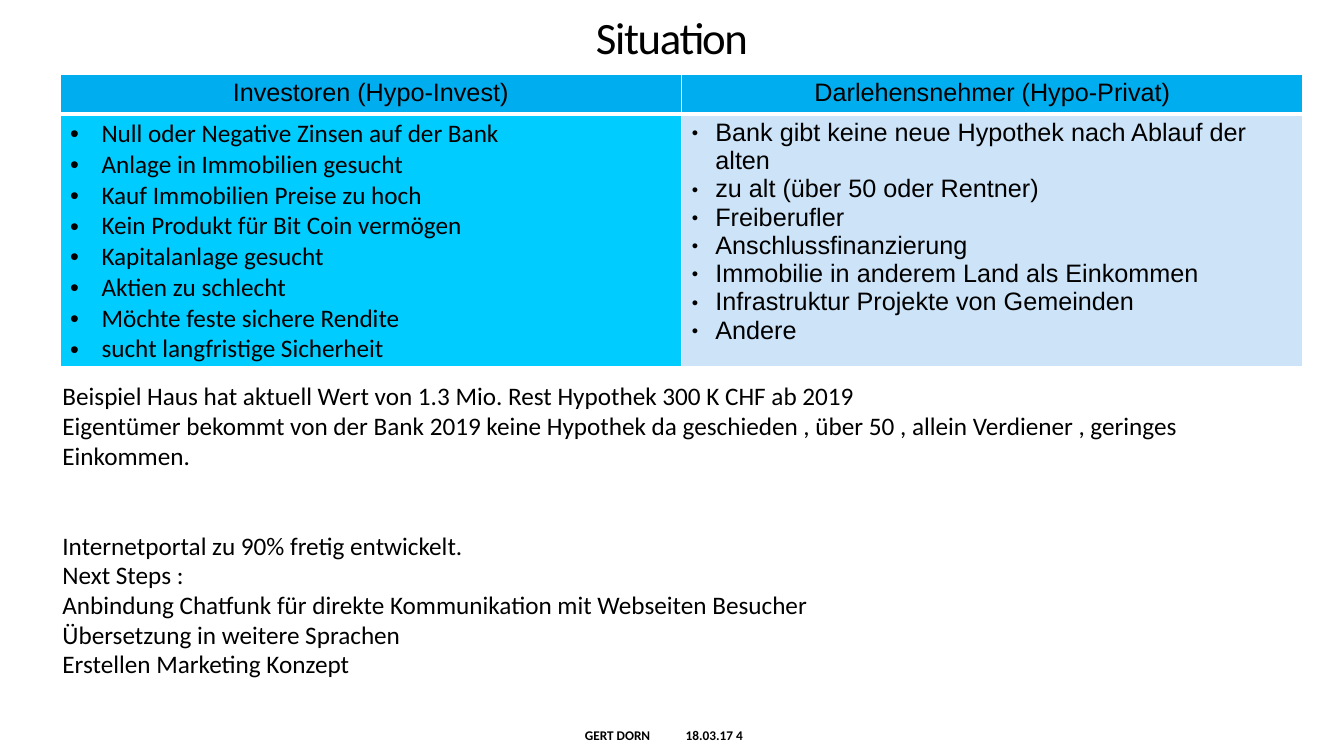
from lxml import etree
from pptx import Presentation
from pptx import util as u
from pptx.dml.color import RGBColor
from pptx.enum import text
from pptx.oxml.ns import qn

Pt = u.Pt
THEME = {
    "ink": "000000", "line": "FFFFFF", "header": "00AEEF",
    "investors": "00CCFF", "borrowers": "CCE3F8",
    "heading": "Calibri", "plain": "Arial",
    "title_size": 32, "text_size": 18, "footer_size": 9.5,
}


def add_run(paragraph, words, font, size, bold=False):
    run = paragraph.add_run()
    run.text = words
    run.font.name, run.font.size, run.font.bold = font, Pt(size), bold
    run.font.color.rgb = RGBColor.from_string(THEME["ink"])
    return run


def add_element(parent, tag, **attributes):
    element = etree.SubElement(parent, qn(tag))
    for key, value in attributes.items():
        element.set(key, str(value))
    return element


deck = Presentation()
deck.slide_width, deck.slide_height = Pt(960), Pt(540)
slide = deck.slides.add_slide(deck.slide_layouts[1])

# Title
title = slide.shapes.title
title.left, title.top, title.width, title.height = Pt(0), Pt(0.7), Pt(960), Pt(48)
title.text_frame.auto_size = text.MSO_AUTO_SIZE.NONE
title.text_frame.vertical_anchor = text.MSO_ANCHOR.BOTTOM
heading = title.text_frame.paragraphs[0]
heading.alignment = text.PP_ALIGN.CENTER
heading_run = add_run(heading, "Situation", THEME["heading"], THEME["title_size"])
heading_run.font._element.set("spc", "-100")

# Comparison table: investors and borrowers
groups = [
    dict(head="Investoren (Hypo-Invest)", fill="investors", font="heading",
         bullet="•", bullet_size=100, indent=22.5,
         points=["Null oder Negative Zinsen auf der Bank",
                 "Anlage in Immobilien gesucht",
                 "Kauf Immobilien Preise zu hoch",
                 "Kein Produkt für Bit Coin vermögen",
                 "Kapitalanlage gesucht",
                 "Aktien zu schlecht",
                 "Möchte feste sichere Rendite",
                 "sucht langfristige Sicherheit"]),
    dict(head="Darlehensnehmer (Hypo-Privat)", fill="borrowers", font="plain",
         bullet="●", bullet_size=45, indent=17,
         points=["Bank gibt keine neue Hypothek nach Ablauf der alten",
                 "zu alt (über 50 oder Rentner)",
                 "Freiberufler",
                 "Anschlussfinanzierung",
                 "Immobilie in anderem Land als Einkommen",
                 "Infrastruktur Projekte von Gemeinden",
                 "Andere"]),
]
comparison = slide.shapes.add_table(2, 2, Pt(42.8), Pt(52.9), Pt(888), Pt(209)).table
comparison.rows[0].height, comparison.rows[1].height = Pt(28.3), Pt(180.7)

for column, group in enumerate(groups):
    comparison.columns[column].width = Pt(444)
    head, details = comparison.cell(0, column), comparison.cell(1, column)
    head_line = head.text_frame.paragraphs[0]
    head_line.alignment = text.PP_ALIGN.CENTER
    add_run(head_line, group["head"], THEME["plain"], THEME["text_size"])

    details.margin_bottom = Pt(1.5)
    for number, point in enumerate(group["points"]):
        frame = details.text_frame
        item = frame.add_paragraph() if number else frame.paragraphs[0]
        add_run(item, point, THEME[group["font"]], THEME["text_size"])
        props = item._p.get_or_add_pPr()
        props.set("marL", str(Pt(group["indent"])))
        props.set("indent", str(-Pt(group["indent"])))
        add_element(add_element(props, "a:buClr"), "a:srgbClr", val=THEME["ink"])
        add_element(props, "a:buSzPct", val=group["bullet_size"] * 1000)
        add_element(props, "a:buFont", typeface=THEME["plain"])
        add_element(props, "a:buChar", char=group["bullet"])

    # White borders, heavy between the two rows; the fill follows them
    for cell, fill, heavy in ((head, "header", "B"), (details, group["fill"], "T")):
        cell_props = cell._tc.get_or_add_tcPr()
        for side in "LRTB":
            width = Pt(3 if side == heavy else 0.96)
            border = add_element(cell_props, f"a:ln{side}", w=width)
            add_element(add_element(border, "a:solidFill"), "a:srgbClr", val=THEME["line"])
        cell.fill.solid()
        cell.fill.fore_color.rgb = RGBColor.from_string(THEME[fill])

# Example and next steps
notes = [
    "Beispiel Haus hat aktuell Wert von 1.3 Mio. Rest Hypothek 300 K CHF ab 2019",
    "Eigentümer bekommt von der Bank 2019 keine Hypothek da geschieden , über 50 , "
    "allein Verdiener , geringes Einkommen.",
    "Internetportal zu 90% fretig entwickelt.",
    "Next Steps :",
    "Anbindung Chatfunk für direkte Kommunikation mit Webseiten Besucher",
    "Übersetzung in weitere Sprachen",
    "Erstellen Marketing Konzept",
]
PORTAL = 2
body = slide.placeholders[1]
body.left, body.top, body.width, body.height = Pt(37.4), Pt(269.3), Pt(888), Pt(229.7)
body.text_frame.auto_size = text.MSO_AUTO_SIZE.NONE
for number, note in enumerate(notes):
    frame = body.text_frame
    line = frame.add_paragraph() if number else frame.paragraphs[0]
    line.line_spacing = 0.98
    line.space_before = Pt(43.2 if number == PORTAL else 0)
    add_run(line, note, THEME["heading"], THEME["text_size"])
    props = line._p.get_or_add_pPr()
    props.set("marL", "0")
    props.set("indent", "0")
    add_element(props, "a:buNone")

# Footer: author, date, page
footer = slide.shapes.add_textbox(Pt(23.8), Pt(516.2), Pt(900.7), Pt(17.3)).text_frame
footer.word_wrap = True
footer.vertical_anchor = text.MSO_ANCHOR.MIDDLE
footer_line = footer.paragraphs[0]
footer_line.alignment = text.PP_ALIGN.CENTER
add_run(footer_line, "GERT DORN\t18.03.17\t4", THEME["heading"], THEME["footer_size"], bold=True)

deck.save("out.pptx")
